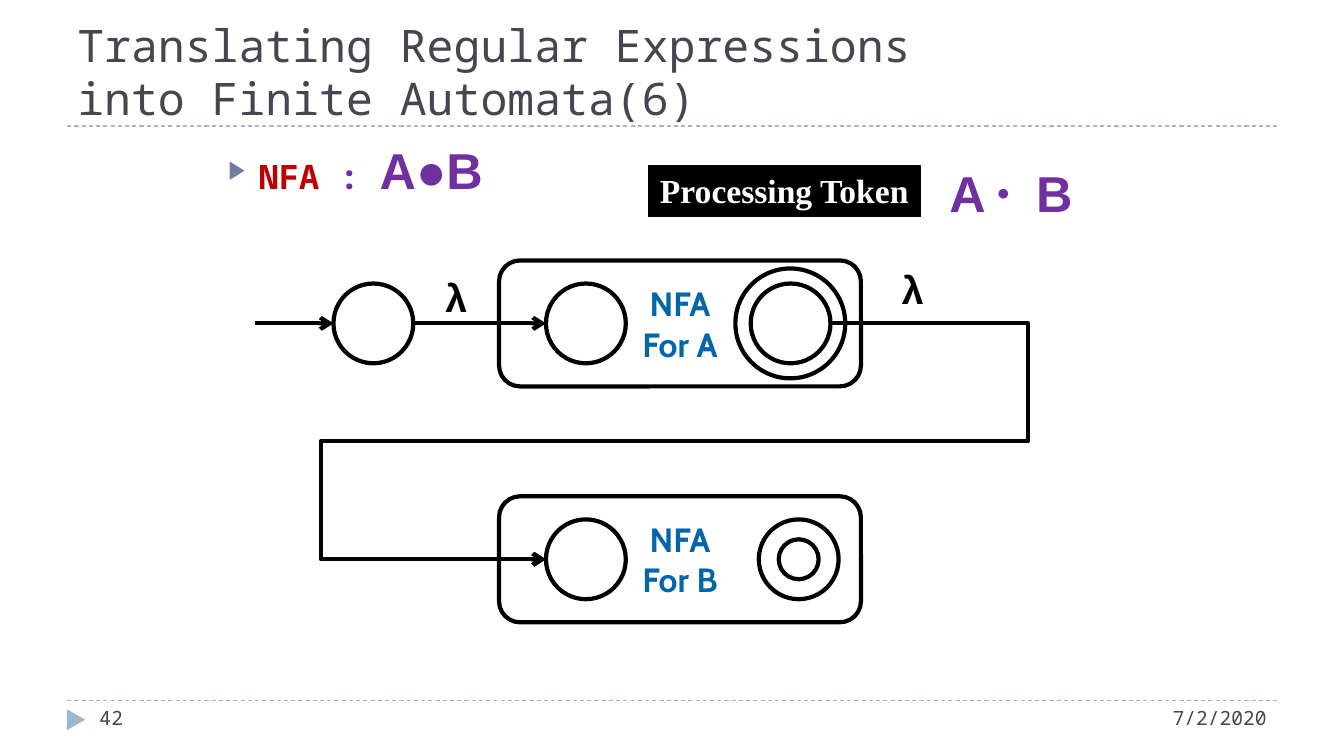
from dataclasses import dataclass

from lxml.etree import SubElement
from pptx import Presentation
from pptx.dml.color import RGBColor
from pptx.enum.dml import MSO_LINE
from pptx.enum.shapes import MSO_CONNECTOR, MSO_SHAPE
from pptx.enum.text import MSO_ANCHOR, MSO_AUTO_SIZE, PP_ALIGN
from pptx.oxml.ns import qn
from pptx.util import Pt

MONO = "Noto Sans Mono"
BLACK, WHITE, PURPLE = "000000", "FFFFFF", "7030A0"
SLATE, PALE_BLUE, LABEL_BLUE = "464653", "9FB8CD", "0366A9"
STATE_SIZE = 57
ROW_A, ROW_B = 231, 399.5


@dataclass
class TextStyle:
    font: str
    size: float
    color: str
    bold: bool = False
    align: PP_ALIGN = PP_ALIGN.LEFT


@dataclass
class Label:
    text: str
    left: float
    top: float
    width: float
    height: float
    style: TextStyle
    wrap: bool = True


@dataclass
class Outline:
    kind: MSO_SHAPE
    center_x: float
    center_y: float
    width: float
    height: float
    fill: str = ""
    text: str = ""


@dataclass
class Arrow:
    start: tuple[float, float]
    end: tuple[float, float]
    bends: tuple[int, ...] = ()


def rgb(color: str) -> RGBColor:
    return RGBColor.from_string(color)


def style_font(font, style: TextStyle) -> None:
    font.name = style.font
    font.size = Pt(style.size)
    font.bold = style.bold
    font.color.rgb = rgb(style.color)


def write_text(frame, text: str, style: TextStyle) -> None:
    frame.text = text
    for paragraph in frame.paragraphs:
        paragraph.alignment = style.align
        style_font(paragraph.font, style)


def place(shape, left: float, top: float, width: float, height: float) -> None:
    shape.left, shape.top = Pt(left), Pt(top)
    shape.width, shape.height = Pt(width), Pt(height)


def add_label(slide, label: Label):
    box = slide.shapes.add_textbox(Pt(label.left), Pt(label.top), Pt(label.width), Pt(label.height))
    box.text_frame.word_wrap = label.wrap
    write_text(box.text_frame, label.text, label.style)
    return box


def add_outline(slide, outline: Outline) -> None:
    shape = slide.shapes.add_shape(
        outline.kind,
        Pt(outline.center_x - outline.width / 2), Pt(outline.center_y - outline.height / 2),
        Pt(outline.width), Pt(outline.height))
    shape.shadow.inherit = False
    if outline.fill:
        shape.fill.solid()
        shape.fill.fore_color.rgb = rgb(outline.fill)
    else:
        shape.fill.background()
    shape.line.color.rgb = rgb(BLACK)
    shape.line.width = Pt(3)
    if outline.text:
        shape.text_frame.vertical_anchor = MSO_ANCHOR.MIDDLE
        write_text(shape.text_frame, outline.text,
                   TextStyle("Cabin", 24, LABEL_BLUE, True, PP_ALIGN.CENTER))


def add_line(slide, start: tuple[float, float], end: tuple[float, float],
             color: str, width: float, kind=MSO_CONNECTOR.STRAIGHT):
    line = slide.shapes.add_connector(kind, Pt(start[0]), Pt(start[1]), Pt(end[0]), Pt(end[1]))
    line.line.color.rgb = rgb(color)
    line.line.width = Pt(width)
    SubElement(line._element.spPr, qn("a:effectLst"))
    return line


def add_arrow(slide, arrow: Arrow) -> None:
    kind = MSO_CONNECTOR.ELBOW if arrow.bends else MSO_CONNECTOR.STRAIGHT
    line = add_line(slide, arrow.start, arrow.end, BLACK, 3, kind)
    SubElement(line.line._get_or_add_ln(), qn("a:tailEnd"), type="arrow")
    if arrow.bends:
        geometry = line._element.spPr.find(qn("a:prstGeom"))
        geometry.set("prst", "bentConnector5")
        adjustments = geometry.find(qn("a:avLst"))
        for number, bend in enumerate(arrow.bends, 1):
            SubElement(adjustments, qn("a:gd"), name=f"adj{number}", fmla=f"val {bend}")


def add_frame(slide) -> None:
    for y in (500.4, 90):
        rule = add_line(slide, (48, y), (912, y), PALE_BLUE, 0.75)
        rule.line.dash_style = MSO_LINE.DASH
    marker = slide.shapes.add_shape(MSO_SHAPE.ISOSCELES_TRIANGLE, Pt(46.8), Pt(507.6), Pt(15), Pt(13))
    marker.rotation = 90
    marker.shadow.inherit = False
    marker.fill.solid()
    marker.fill.fore_color.rgb = rgb(PALE_BLUE)
    marker.line.fill.background()


def fill_title(title) -> None:
    place(title, 48, 12.25, 864, 77.75)
    frame = title.text_frame
    frame.auto_size = MSO_AUTO_SIZE.NONE
    frame.vertical_anchor = MSO_ANCHOR.BOTTOM
    frame.margin_bottom = Pt(1)
    write_text(frame, "Translating Regular Expressions\vinto Finite Automata(6)",
               TextStyle(MONO, 32, SLATE))
    frame.paragraphs[0].line_spacing = Pt(38)


def fill_body(body) -> None:
    place(body, 156, 96, 648, 388.8)
    body.text_frame.auto_size = MSO_AUTO_SIZE.NONE
    paragraph = body.text_frame.paragraphs[0]
    paragraph.space_before = Pt(0)
    properties = paragraph._p.get_or_add_pPr()
    properties.set("marL", str(Pt(21.6)))
    properties.set("indent", str(Pt(-21.6)))
    bullet_color = SubElement(properties, qn("a:buClr"))
    SubElement(bullet_color, qn("a:srgbClr"), val="727CA3")
    SubElement(properties, qn("a:buSzPct"), val="76000")
    SubElement(properties, qn("a:buChar"), char="▶")
    for text, style in (("NFA ", TextStyle(MONO, 24, "C00000", True)),
                        (": ", TextStyle(MONO, 24, PURPLE, True)),
                        ("Α●Β", TextStyle("Arial", 36, PURPLE, True))):
        run = paragraph.add_run()
        run.text = text
        style_font(run.font, style)


def main() -> None:
    presentation = Presentation()
    presentation.slide_width, presentation.slide_height = Pt(960), Pt(540)
    slide = presentation.slides.add_slide(presentation.slide_layouts[1])

    # Title, rules and heading
    add_frame(slide)
    fill_title(slide.shapes.title)
    fill_body(slide.placeholders[1])

    # Automata: enclosing boxes and states
    circle, box = MSO_SHAPE.OVAL, MSO_SHAPE.ROUNDED_RECTANGLE
    outlines = [Outline(circle, 564.5, ROW_A, 78.5, 78.5),
                Outline(circle, 266.7, ROW_A, STATE_SIZE, STATE_SIZE, WHITE)]
    for name, row in (("A", ROW_A), ("B", ROW_B)):
        outlines += [Outline(box, 485.7, row, 258.5, 90, text=f"NFA\nFor {name}"),
                     Outline(circle, 418.5, row, STATE_SIZE, STATE_SIZE, WHITE)]
    outlines += [Outline(circle, 564.7, ROW_A, STATE_SIZE, STATE_SIZE, WHITE),
                 Outline(MSO_SHAPE.DONUT, 570.5, ROW_B, STATE_SIZE, STATE_SIZE, WHITE)]
    for outline in outlines:
        add_outline(slide, outline)

    # Transitions
    for arrow in (Arrow((182.2, ROW_A), (238.2, ROW_A)),
                  Arrow((295.2, ROW_A), (390, ROW_A)),
                  Arrow((593.2, ROW_A), (390, ROW_B), (-69500, 50000, 179200)),
                  Arrow((287.3, ROW_B), (390, ROW_B))):
        add_arrow(slide, arrow)

    # Labels, token and footer
    lambda_style = TextStyle("Arial", 28, BLACK, True)
    letter = TextStyle("Arial", 36, PURPLE, True)
    for label in (Label("λ", 637.2, 185.8, 30.2, 41, lambda_style),
                  Label("λ", 311, 191.5, 30.2, 41, lambda_style),
                  Label("Α", 671, 112.3, 41, 51, letter, False),
                  Label("●", 704.9, 123.8, 31, 26.6, TextStyle("Arial", 16, PURPLE, True), False),
                  Label("Β", 733, 112.3, 39, 51, letter, False),
                  Label("7/2/2020", 671.8, 500.4, 240.2, 28.8,
                        TextStyle(MONO, 14, SLATE, align=PP_ALIGN.RIGHT)),
                  Label("42", 64, 500.4, 208, 28.8, TextStyle(MONO, 14, SLATE))):
        add_label(slide, label)
    token = add_label(slide, Label("Processing Token", 463, 118, 194.4, 36.7, TextStyle(
        "Times New Roman", 24, WHITE, True, PP_ALIGN.CENTER), False))
    token.fill.solid()
    token.fill.fore_color.rgb = rgb(BLACK)
    token.line.color.rgb = rgb(BLACK)
    token.line.width = Pt(0.75)

    presentation.save("out.pptx")


if __name__ == "__main__":
    main()
